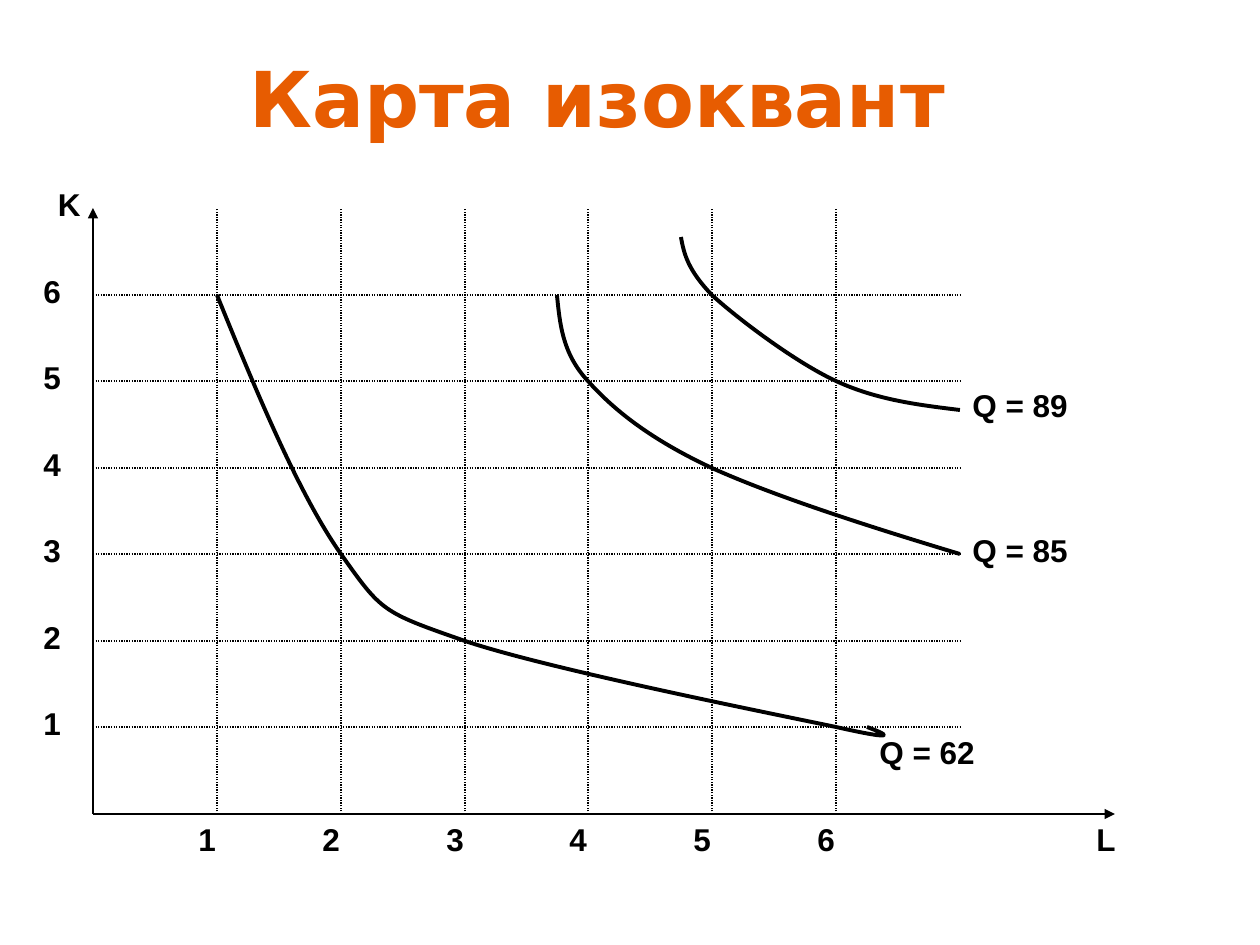
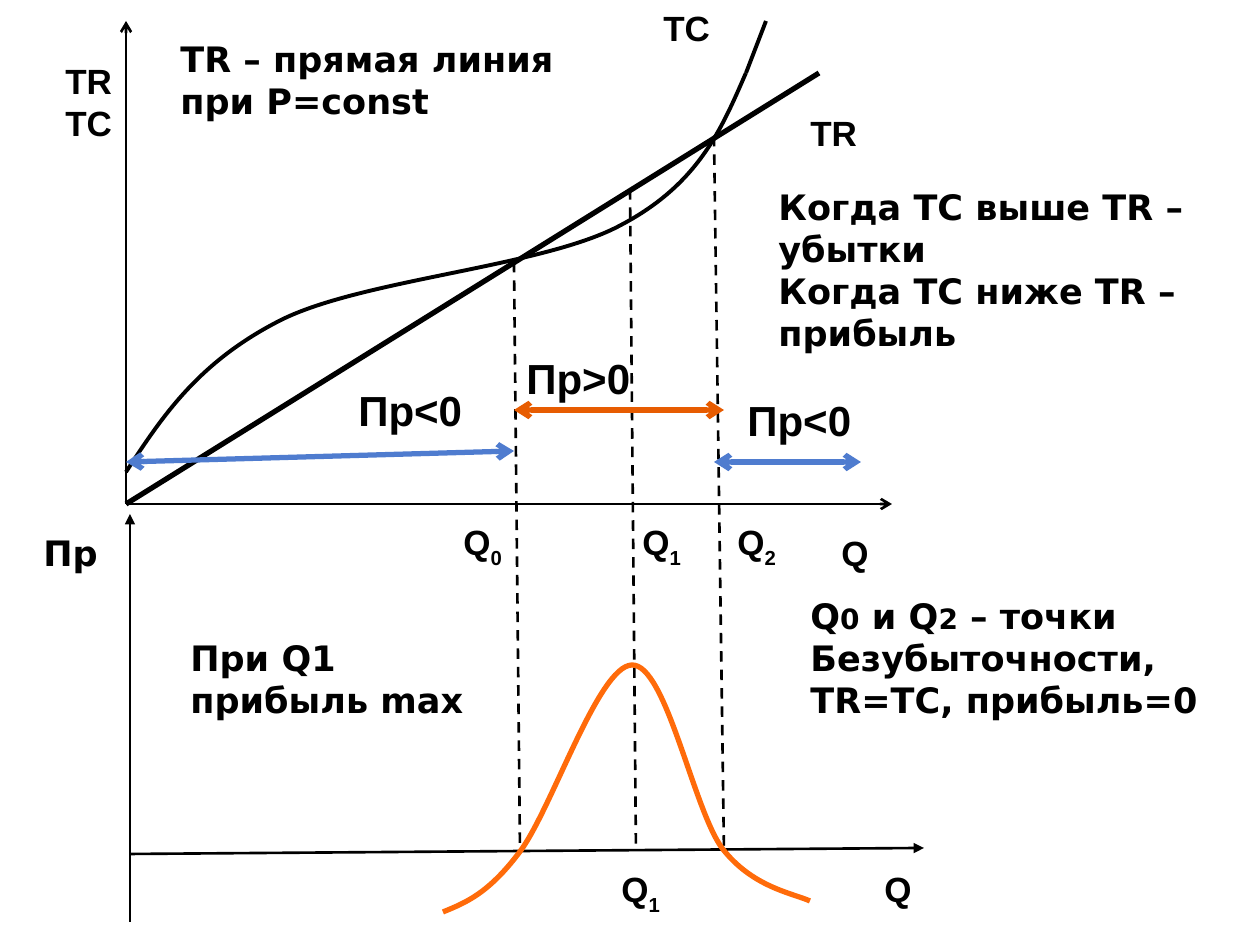
from lxml import etree
from pptx import Presentation
from pptx.dml.color import RGBColor
from pptx.enum.dml import MSO_LINE
from pptx.enum.shapes import MSO_CONNECTOR
from pptx.enum.text import MSO_ANCHOR, PP_ALIGN
from pptx.oxml.ns import qn
from pptx.util import Emu, Pt

SCALE = 914400 / 126  # EMU per px
SLIDE_W, SLIDE_H = 1260, 945

BLACK = RGBColor(0x00, 0x00, 0x00)
WHITE = RGBColor(0xFF, 0xFF, 0xFF)
RUST = RGBColor(0xE7, 0x5C, 0x01)
ORANGE = RGBColor(0xFF, 0x6B, 0x0A)
BLUE = RGBColor(0x4F, 0x7C, 0xCF)

LABEL_FONT, NOTE_FONT = "Arial", "DejaVu Sans"
STRAIGHT = MSO_CONNECTOR.STRAIGHT
DASH, DOT = MSO_LINE.DASH, MSO_LINE.ROUND_DOT
LEFT, CENTER, RIGHT = PP_ALIGN.LEFT, PP_ALIGN.CENTER, PP_ALIGN.RIGHT
TOP, MIDDLE = MSO_ANCHOR.TOP, MSO_ANCHOR.MIDDLE

# Slide 1: isoquant map. The plot is seven equal steps each way.
MAP_TITLE = "Карта изоквант"
ORIGIN_X, ORIGIN_Y = 93, 814
GRID_RIGHT, GRID_TOP = 960, 208
L_AXIS_END = 1115
STEPS = 7
# Start point, then two control points and an end point per segment, as (L, K)
ISOQUANTS = [
    [(4.75, 6.67), (4.77, 6.47), (4.8, 6.28), (5, 6), (5.2, 5.73), (5.67, 5.22),
     (6, 5), (6.33, 4.78), (6.67, 4.72), (7, 4.67)],
    [(3.75, 6), (3.77, 5.67), (3.79, 5.33), (4, 5), (4.21, 4.67), (4.5, 4.33),
     (5, 4), (5.5, 3.67), (6.25, 3.33), (7, 3)],
    [(1, 6), (1.33, 4.83), (1.67, 3.67), (2, 3), (2.33, 2.33), (2.33, 2.33),
     (3, 2), (3.67, 1.67), (5.46, 1.17), (6, 1), (6.54, 0.83), (6.4, 0.92), (6.25, 1)],
]
MAP_LABELS = [  # text, left, top, width, alignment
    ("Q = 62", 867, 727, 217, LEFT),
    ("Q = 89", 960, 380, 217, LEFT),
    ("Q = 85", 960, 525, 185, LEFT),
    ("L", 1084, 814, 123, LEFT),
    ("K", 0, 179, 93, RIGHT),
]

# Slide 2: revenue, cost and profit. A tuple alternates normal and small text.
PROFIT_LABELS = [  # paragraphs, left, top, width
    ([("Q", "0")], 451, 514, 67),
    ([("Q", "1")], 630, 514, 67),
    ([("Q", "2")], 725, 514, 67),
    (["Q"], 829, 525, 67),
    (["Q"], 872, 861, 67),
    ([("Q", "1")], 609, 861, 67),
    (["TR", "TC"], 53, 53, 108),
    (["TC"], 651, 0, 87),
    (["TR"], 798, 105, 87),
]
NOTES = [  # paragraphs, left, top, width, height
    (["TR – прямая линия", "при P=const"], 168, 31, 427, 97),
    (["Когда TC выше TR –", "убытки", "Когда TC ниже TR –", "прибыль"], 766, 179, 447, 183),
    ([("Q", "0", " и Q", "2", " – точки"), "Безубыточности,", "TR=TC, прибыль=0"],
     798, 588, 420, 140),
    (["При Q1", "прибыль max"], 178, 630, 304, 97),
    (["Пр"], 31, 525, 92, 55),
]
ZONES = [("Пр>0", 514, 346), ("Пр<0", 346, 378), ("Пр<0", 735, 388)]
ZONE_ARROWS = [
    ((126, 462), (514, 451), BLUE),
    ((714, 462), (861, 462), BLUE),
    ((514, 410), (724, 410), RUST),
]
AXES = [  # from, to, arrowhead
    ((130, 922), (130, 514), "triangle"),
    ((130, 854), (924, 848), "triangle"),
    ((126, 504), (126, 21), "arrow"),
    ((126, 504), (892, 504), "arrow"),
]
OUTPUT_GUIDES = [
    ((514, 262), (520, 850)),
    ((630, 189), (636, 850)),
    ((714, 136), (724, 850)),
]
REVENUE = (126, 504), (819, 73)
COST_TAIL = (746, 73), (766, 21)
COST = [(126, 472), (162, 417), (198, 362), (281, 320), (363, 279), (544, 267),
        (621, 225), (699, 184), (722, 128), (746, 73)]
PROFIT = [(443, 912), (465, 903), (488, 894), (519, 853), (551, 812), (598, 666),
          (632, 665), (666, 664), (693, 808), (722, 848), (752, 887), (792, 893), (810, 901)]


def emu(px):
    return Emu(round(px * SCALE))


def add_text(s, paragraphs, box, size, font=LABEL_FONT, color=BLACK, align=LEFT,
             anchor=TOP, fill=None, wrap=True, small_size=None):
    """Small runs take small_size, or become subscripts when it is not given."""
    sp = s.shapes.add_textbox(*map(emu, box))
    if fill is not None:
        sp.fill.solid()
        sp.fill.fore_color.rgb = fill
    tf = sp.text_frame
    tf.word_wrap = wrap
    tf.vertical_anchor = anchor
    for i, content in enumerate(paragraphs):
        runs = (content,) if isinstance(content, str) else content
        has_subscript = len(runs) > 1 and small_size is None
        p = tf.add_paragraph() if i else tf.paragraphs[0]
        p.alignment = align
        if not has_subscript:  # a subscript needs the line to grow downwards
            p.line_spacing = Pt(size * 1.2)
        p.font.name, p.font.size, p.font.bold = font, Pt(size), True
        p.font.color.rgb = color
        for j, text in enumerate(runs):
            r = p.add_run()
            r.text = text
            if j % 2 and has_subscript:
                r._r.get_or_add_rPr().set("baseline", "-30000")
            elif j % 2:
                r.font.size = Pt(small_size)


def add_line(s, start, end, width, color=BLACK, dash=None, head=None, tail=None):
    line = s.shapes.add_connector(STRAIGHT, *map(emu, start + end))
    line.line.color.rgb = color
    line.line.width = Pt(width)
    if dash is not None:
        line.line.dash_style = dash
    ln = line.line._get_or_add_ln()
    for tag, kind in (("a:headEnd", head), ("a:tailEnd", tail)):
        if kind:
            etree.SubElement(ln, qn(tag), type=kind)
    etree.SubElement(line._element.spPr, qn("a:effectLst"))


def add_curve(s, points, width, color=BLACK):
    """Draw a cubic Bezier chain: a start, then three points per segment."""
    builder = s.shapes.build_freeform(*points[0], scale=SCALE)
    builder.add_line_segments(points[1:], close=False)
    sp = builder.convert_to_shape()
    sp.shadow.inherit = False
    sp.fill.background()
    sp.line.color.rgb = color
    sp.line.width = Pt(width)
    outline = next(sp._element.iter(qn("a:path")))
    steps = outline.findall(qn("a:lnTo"))
    for i in range(0, len(steps), 3):
        bezier = etree.SubElement(outline, qn("a:cubicBezTo"))
        for step in steps[i:i + 3]:
            bezier.append(step[0])
            outline.remove(step)


def map_point(labour, capital):
    return (round(ORIGIN_X + labour * (GRID_RIGHT - ORIGIN_X) / STEPS),
            round(ORIGIN_Y - capital * (ORIGIN_Y - GRID_TOP) / STEPS))


def isoquant_slide(s):
    for text, left, top, width, align in MAP_LABELS:
        add_text(s, [text], (left, top, width, 58), 18, align=align, fill=WHITE)
    for n in range(1, STEPS):
        x, y = map_point(n, n)
        add_text(s, [str(n)], (31, y - 29, 62, 58), 18, fill=WHITE)
        add_text(s, [str(n)], (x - 31, ORIGIN_Y, 62, 58), 18, fill=WHITE)
    origin = (ORIGIN_X, ORIGIN_Y)
    add_line(s, origin, (ORIGIN_X, GRID_TOP), 1.5, tail="triangle")
    add_line(s, origin, (L_AXIS_END, ORIGIN_Y), 1.5, tail="triangle")
    for n in range(1, STEPS):
        add_line(s, map_point(0, n), map_point(STEPS, n), 0.75, dash=DOT)
        add_line(s, map_point(n, 0), map_point(n, STEPS), 0.75, dash=DOT)
    for isoquant in ISOQUANTS:
        add_curve(s, [map_point(*point) for point in isoquant], 2.25)
    add_text(s, [MAP_TITLE], (221, 32, 753, 130), 44, NOTE_FONT, RUST, CENTER, MIDDLE)


def profit_slide(s):
    for paragraphs, left, top, width in PROFIT_LABELS:
        add_text(s, paragraphs, (left, top, width, 68), 20, fill=WHITE)
    for start, end, arrowhead in AXES:
        add_line(s, start, end, 1.5, tail=arrowhead)
    for start, end in OUTPUT_GUIDES:
        add_line(s, start, end, 1.5, dash=DASH)
    add_line(s, *REVENUE, 3)
    add_curve(s, COST, 2.25)
    add_line(s, *COST_TAIL, 2.25)
    add_curve(s, PROFIT, 3, ORANGE)
    for paragraphs, *box in NOTES:
        add_text(s, paragraphs, box, 20, NOTE_FONT, wrap=False, small_size=16)
    for start, end, color in ZONE_ARROWS:
        add_line(s, start, end, 3, color, head="arrow", tail="arrow")
    for text, left, top in ZONES:
        add_text(s, [text], (left, top, 130, 63), 24, wrap=False)


def main():
    prs = Presentation()
    prs.slide_width, prs.slide_height = emu(SLIDE_W), emu(SLIDE_H)
    for build in (isoquant_slide, profit_slide):
        build(prs.slides.add_slide(prs.slide_layouts[6]))
    prs.save("out.pptx")


if __name__ == "__main__":
    main()
